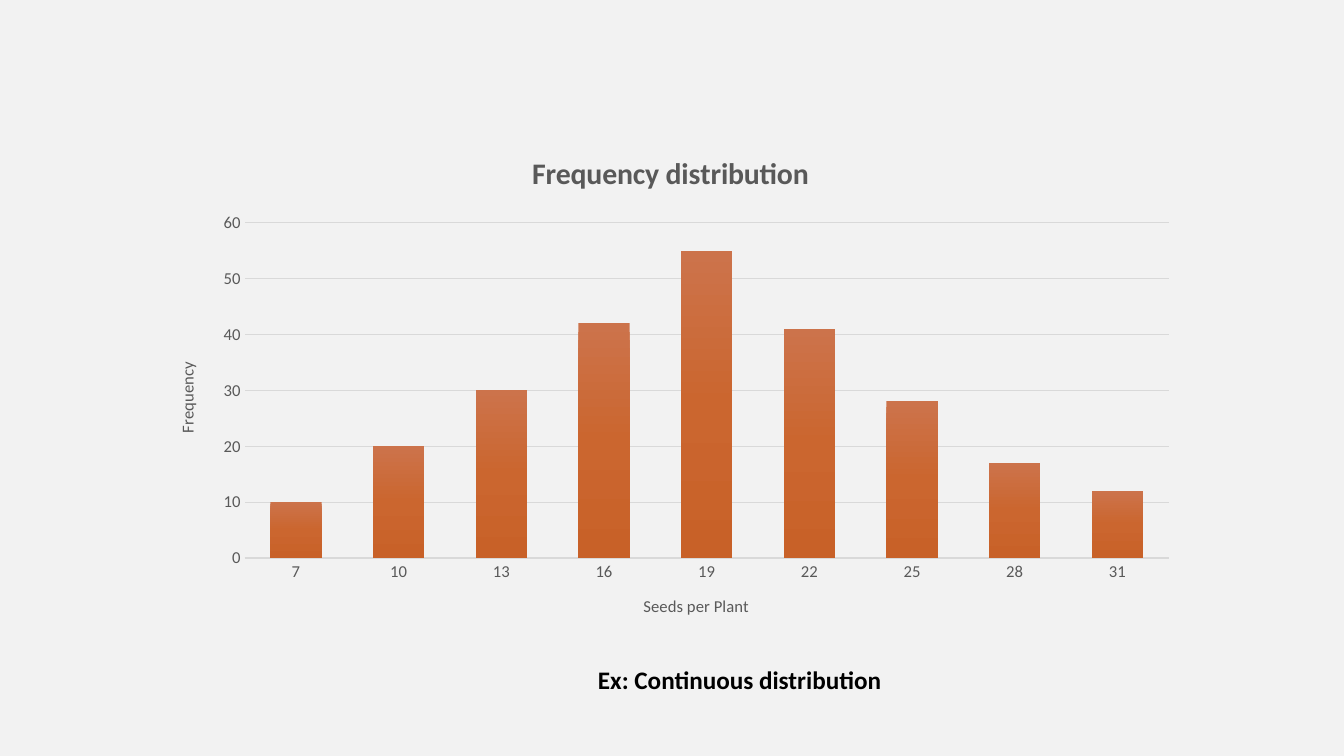
import dataclasses

import lxml.etree
import pptx
import pptx.chart.data
import pptx.dml.color
import pptx.enum.chart
import pptx.enum.text
import pptx.oxml
import pptx.oxml.ns
import pptx.util


@dataclasses.dataclass(frozen=True)
class Theme:
    """Colours and type sizes of the slide."""
    font: str = "Calibri"
    background: str = "F2F2F2"
    ink: str = "000000"
    muted: str = "595959"
    rule: str = "D9D9D9"
    bar_stops: tuple = ((0, "CC734B"), (50, "CB662F"), (100, "C86128"))
    title_size: float = 21.3
    axis_size: float = 11.9
    caption_size: float = 18


THEME = Theme()
SEEDS = ("7", "10", "13", "16", "19", "22", "25", "28", "31")
FREQUENCIES = (10, 20, 30, 42, 55, 41, 28, 17, 12)


def px(length):
    """Turn pixels into EMU."""
    return pptx.util.Emu(length * 9525)


def colour(code):
    """Return an RGB colour."""
    return pptx.dml.color.RGBColor.from_string(code)


def style_font(font, size, code, bold=False):
    """Set the face, size, colour and weight of a font."""
    font.name = THEME.font
    font.size = pptx.util.Pt(size)
    font.bold = bold
    font.color.rgb = colour(code)


def style_line(line, width):
    """Draw a line in the rule colour."""
    line.color.rgb = colour(THEME.rule)
    line.width = pptx.util.Pt(width)


def set_title(owner, text, size, bold=False):
    """Give a chart or an axis its title."""
    frame = (owner.chart_title if hasattr(owner, "chart_title") else owner.axis_title).text_frame
    frame.text = text
    style_font(frame.paragraphs[0].font, size, THEME.muted, bold)


def style_axis(axis, title):
    """Style the labels, ticks and title of an axis."""
    axis.major_tick_mark = axis.minor_tick_mark = pptx.enum.chart.XL_TICK_MARK.NONE
    style_font(axis.tick_labels.font, THEME.axis_size, THEME.muted)
    set_title(axis, title, THEME.axis_size)


def fill_bars(series):
    """Fill the bars with a gradient running downward."""
    series.format.fill.gradient()
    gradient = series.format.fill._fill._gradFill
    stops = "".join(
        f'<a:gs pos="{place * 1000}"><a:srgbClr val="{code}"/></a:gs>'
        for place, code in THEME.bar_stops
    )
    namespace = pptx.oxml.ns.nsdecls("a")
    for child in list(gradient):
        gradient.remove(child)
    gradient.append(pptx.oxml.parse_xml(f"<a:gsLst {namespace}>{stops}</a:gsLst>"))
    gradient.append(pptx.oxml.parse_xml(f'<a:lin {namespace} ang="5400000" scaled="0"/>'))


def place_plot(chart, left, top, width, height):
    """Fix the inner plot area as fractions of the chart."""
    plot_area = chart._chartSpace.chart.plotArea
    for layout in plot_area.findall(pptx.oxml.ns.qn("c:layout")):
        plot_area.remove(layout)
    settings = (("layoutTarget", "inner"), ("xMode", "edge"), ("yMode", "edge"),
                ("x", left), ("y", top), ("w", width), ("h", height))
    layout = lxml.etree.Element(pptx.oxml.ns.qn("c:layout"))
    manual = lxml.etree.SubElement(layout, pptx.oxml.ns.qn("c:manualLayout"))
    for name, value in settings:
        lxml.etree.SubElement(manual, pptx.oxml.ns.qn(f"c:{name}")).set("val", str(value))
    plot_area.insert(0, layout)


def add_frequency_chart(page, left, top, width, height):
    """Place the column chart in the given box."""
    data = pptx.chart.data.CategoryChartData()
    data.categories = SEEDS
    data.add_series("Series 1", FREQUENCIES)
    kind = pptx.enum.chart.XL_CHART_TYPE.COLUMN_CLUSTERED
    chart = page.shapes.add_chart(kind, px(left), px(top), px(width), px(height), data).chart
    style_font(chart.font, 10, THEME.ink)
    chart.has_legend = False
    set_title(chart, "Frequency distribution", THEME.title_size, True)
    chart.chart_title.include_in_layout = False
    place_plot(chart, 0.09, 0.18, 0.89, 0.66)

    style_axis(chart.category_axis, "Seeds per Plant")
    style_line(chart.category_axis.format.line, 1)
    value_axis = chart.value_axis
    style_axis(value_axis, "Frequency")
    value_axis.minimum_scale, value_axis.maximum_scale, value_axis.major_unit = 0, 60, 10
    value_axis.format.line.fill.background()
    style_line(value_axis.major_gridlines.format.line, 0.75)

    plot = chart.plots[0]
    plot.vary_by_categories = False
    plot.gap_width = 100
    plot.overlap = -24
    fill_bars(plot.series[0])


def add_caption(page, left, top, width, height):
    """Place the caption in the given box."""
    frame = page.shapes.add_textbox(px(left), px(top), px(width), px(height)).text_frame
    frame.word_wrap = True
    frame.auto_size = pptx.enum.text.MSO_AUTO_SIZE.SHAPE_TO_FIT_TEXT
    para = frame.paragraphs[0]
    para.text = "Ex: Continuous distribution"
    para.alignment = pptx.enum.text.PP_ALIGN.CENTER
    style_font(para.font, THEME.caption_size, THEME.ink, True)


def main():
    """Build and save the deck."""
    deck = pptx.Presentation()
    deck.slide_width, deck.slide_height = px(1280), px(720)
    page = deck.slides.add_slide(deck.slide_layouts[6])
    page.background.fill.solid()
    page.background.fill.fore_color.rgb = colour(THEME.background)
    add_frequency_chart(page, 144, 125, 989, 484)
    add_caption(page, 365, 628, 679, 38)
    deck.save("out.pptx")


if __name__ == "__main__":
    main()
